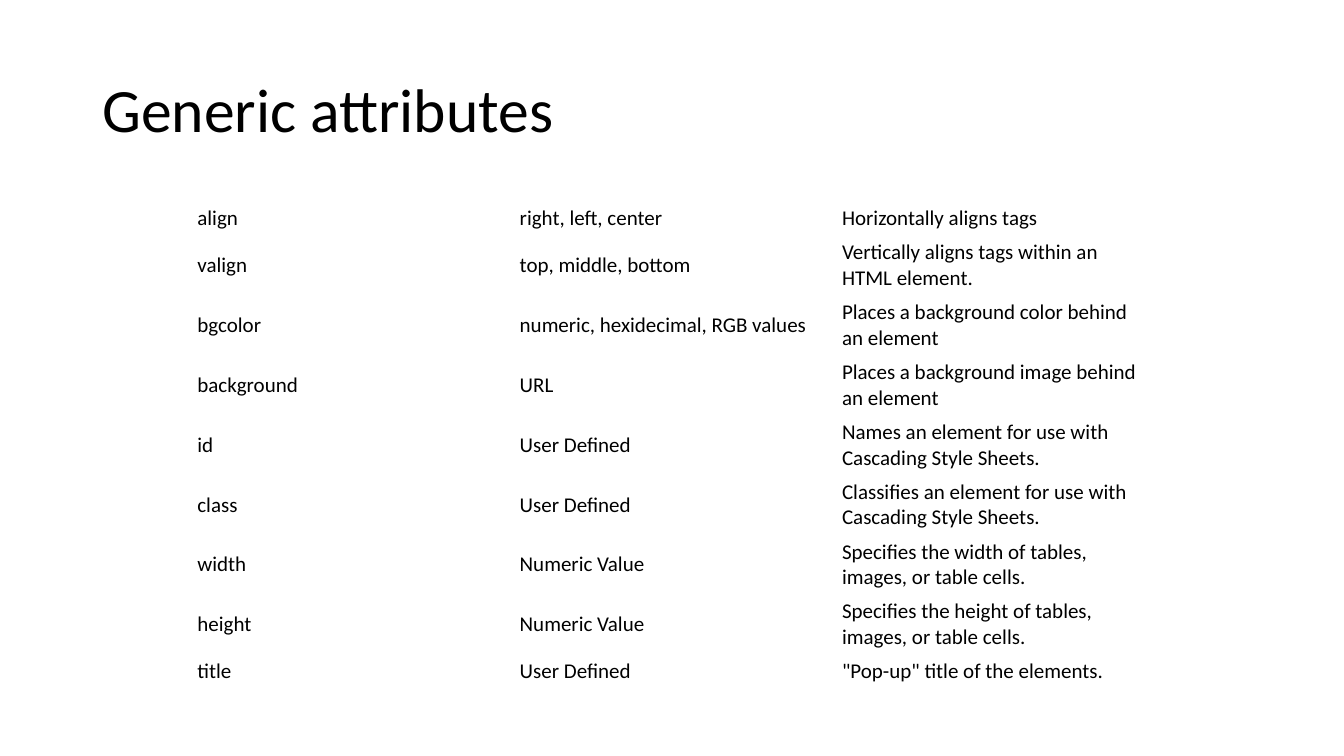
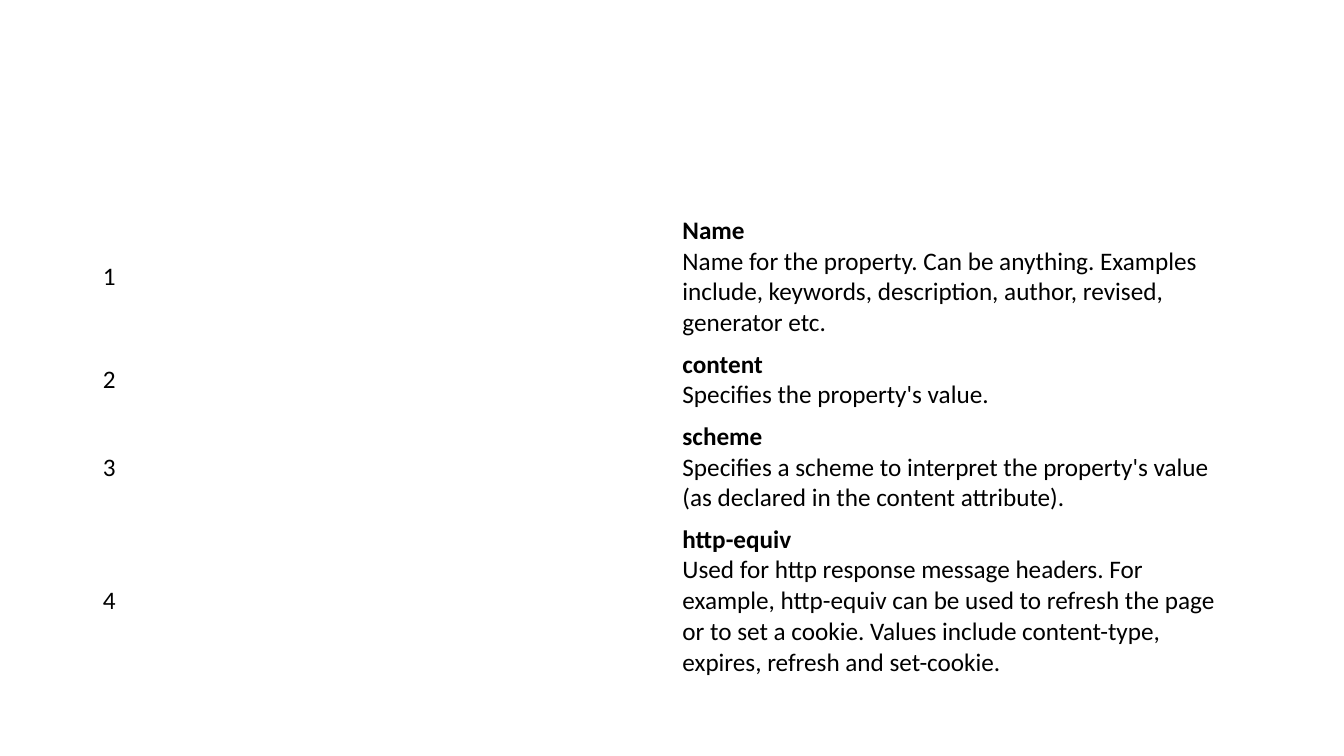
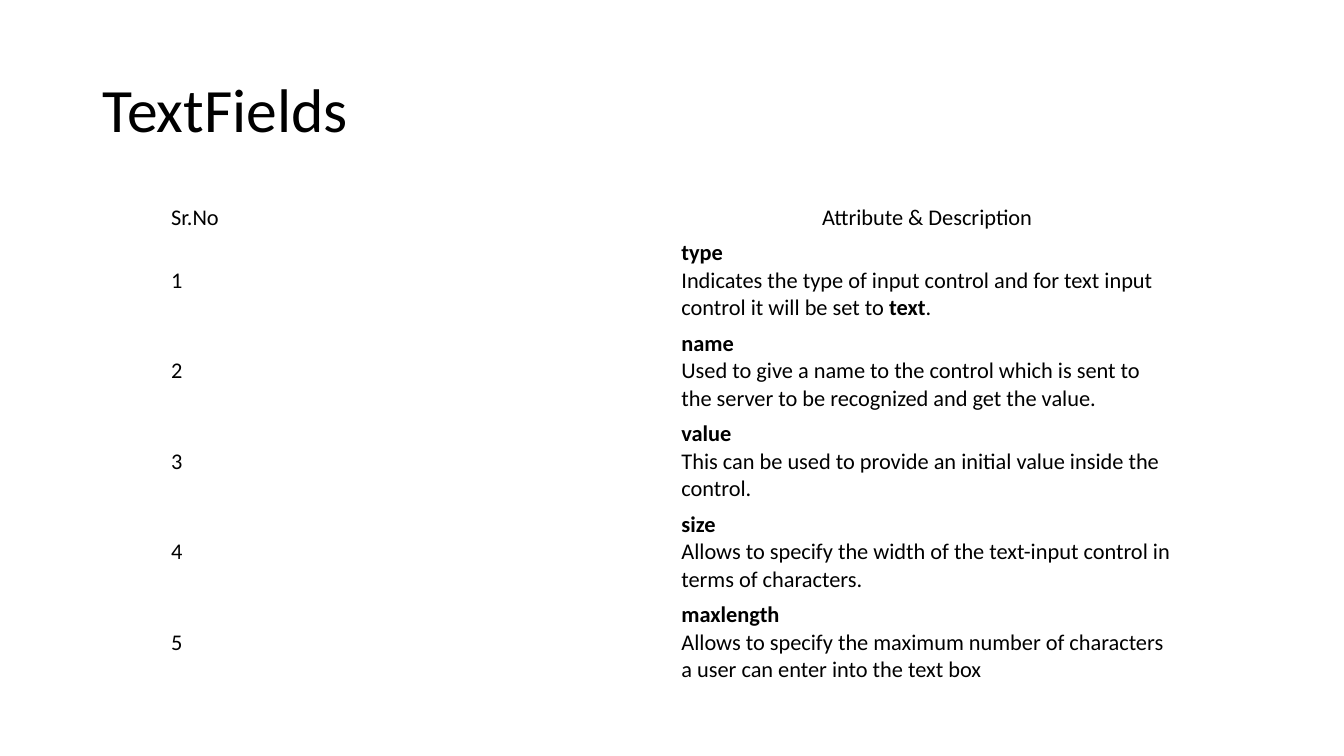
from pptx import Presentation
from pptx import util as u
from pptx.dml.color import RGBColor
from pptx.enum import text

FONT = "Calibri"
BLACK = RGBColor(0x00, 0x00, 0x00)
TITLE_ONLY, BLANK = 5, 6
LINE_PX = 1.22 * 96 / 72  # height of one text line in px, per point of size

GENERIC_ATTRIBUTES = [
    ("align", "right, left, center", "Horizontally aligns tags"),
    ("valign", "top, middle, bottom", "Vertically aligns tags within an HTML element."),
    ("bgcolor", "numeric, hexidecimal, RGB values", "Places a background color behind an element"),
    ("background", "URL", "Places a background image behind an element"),
    ("id", "User Defined", "Names an element for use with Cascading Style Sheets."),
    ("class", "User Defined", "Classifies an element for use with Cascading Style Sheets."),
    ("width", "Numeric Value", "Specifies the width of tables, images, or table cells."),
    ("height", "Numeric Value", "Specifies the height of tables, images, or table cells."),
    ("title", "User Defined", '"Pop-up" title of the elements.'),
]
META_ATTRIBUTES = [
    ("Name", "Name for the property. Can be anything. Examples include, keywords, "
             "description, author, revised, generator etc."),
    ("content", "Specifies the property's value."),
    ("scheme", "Specifies a scheme to interpret the property's value "
               "(as declared in the content attribute)."),
    ("http-equiv", "Used for http response message headers. For example, http-equiv can be "
                   "used to refresh the page or to set a cookie. Values include "
                   "content-type, expires, refresh and set-cookie."),
]
TEXT_FIELD_ATTRIBUTES = [
    ("type", "Indicates the type of input control and for text input control "
             "it will be set to **text**."),
    ("name", "Used to give a name to the control which is sent to the server "
             "to be recognized and get the value."),
    ("value", "This can be used to provide an initial value inside the control."),
    ("size", "Allows to specify the width of the text-input control in terms of characters."),
    ("maxlength", "Allows to specify the maximum number of characters "
                  "a user can enter into the text box"),
]


def px(length):
    return u.Emu(length * 9525)


def style_run(run, size, bold=False):
    run.font.name = FONT
    run.font.size = u.Pt(size)
    run.font.bold = bold
    run.font.color.rgb = BLACK


def add_titled_slide(prs, heading):
    slide = prs.slides.add_slide(prs.slide_layouts[TITLE_ONLY])
    title = slide.shapes.title
    title.left, title.top, title.width, title.height = map(px, (88, 38, 1104, 139))
    title.text_frame.text = heading
    title.text_frame.vertical_anchor = text.MSO_ANCHOR.MIDDLE
    paragraph = title.text_frame.paragraphs[0]
    paragraph.alignment = text.PP_ALIGN.LEFT
    paragraph.line_spacing = 0.9
    style_run(paragraph.runs[0], 44)
    return slide


def write_cell(cell, content, size, pad_x, pad_y):
    """Fill a cell; a newline starts a paragraph and ** encloses bold words."""
    cell.fill.background()
    cell.vertical_anchor = text.MSO_ANCHOR.MIDDLE
    cell.margin_left = cell.margin_right = px(pad_x)
    cell.margin_top = cell.margin_bottom = px(pad_y)
    frame = cell.text_frame
    for index, line in enumerate(content.split("\n")):
        paragraph = frame.add_paragraph() if index else frame.paragraphs[0]
        for part, words in enumerate(line.split("**")):
            if words:
                run = paragraph.add_run()
                run.text = words
                style_run(run, size, bold=part % 2 == 1)


def add_plain_table(slide, rows, line_counts, left, top, column_width, size, pad_x, pad_y):
    """Add an unfilled table whose row heights follow from the text lines they hold."""
    heights = [round(count * size * LINE_PX + 2 * pad_y) for count in line_counts]
    columns = len(rows[0])
    table = slide.shapes.add_table(
        len(rows), columns, px(left), px(top),
        px(column_width * columns), px(sum(heights))).table
    table.first_row = table.horz_banding = False
    for column in table.columns:
        column.width = px(column_width)
    for table_row, height, contents in zip(table.rows, heights, rows):
        table_row.height = px(height)
        for cell, content in zip(table_row.cells, contents):
            write_cell(cell, content, size, pad_x, pad_y)
    return table


def numbered(attributes):
    return [(str(number), f"**{name}**\n{description}")
            for number, (name, description) in enumerate(attributes, 1)]


def main():
    prs = Presentation()
    prs.slide_width, prs.slide_height = px(1280), px(720)

    generic = add_titled_slide(prs, "Generic attributes")
    add_plain_table(generic, GENERIC_ATTRIBUTES, [1] + [2] * 7 + [1],
                    left=180, top=192, column_width=307, size=15, pad_x=8, pad_y=4)

    meta = prs.slides.add_slide(prs.slide_layouts[BLANK])
    add_plain_table(meta, numbered(META_ATTRIBUTES), [4, 2, 3, 5],
                    left=88, top=200, column_width=552, size=18, pad_x=10, pad_y=5)

    fields = add_titled_slide(prs, "TextFields")
    header = ("Sr.No", "Attribute & Description")
    fields_table = add_plain_table(
        fields, [header] + numbered(TEXT_FIELD_ATTRIBUTES), [1] + [3] * 5,
        left=154, top=190, column_width=486, size=16, pad_x=9, pad_y=4)
    fields_table.cell(0, 1).text_frame.paragraphs[0].alignment = text.PP_ALIGN.CENTER

    prs.save("out.pptx")


if __name__ == "__main__":
    main()
